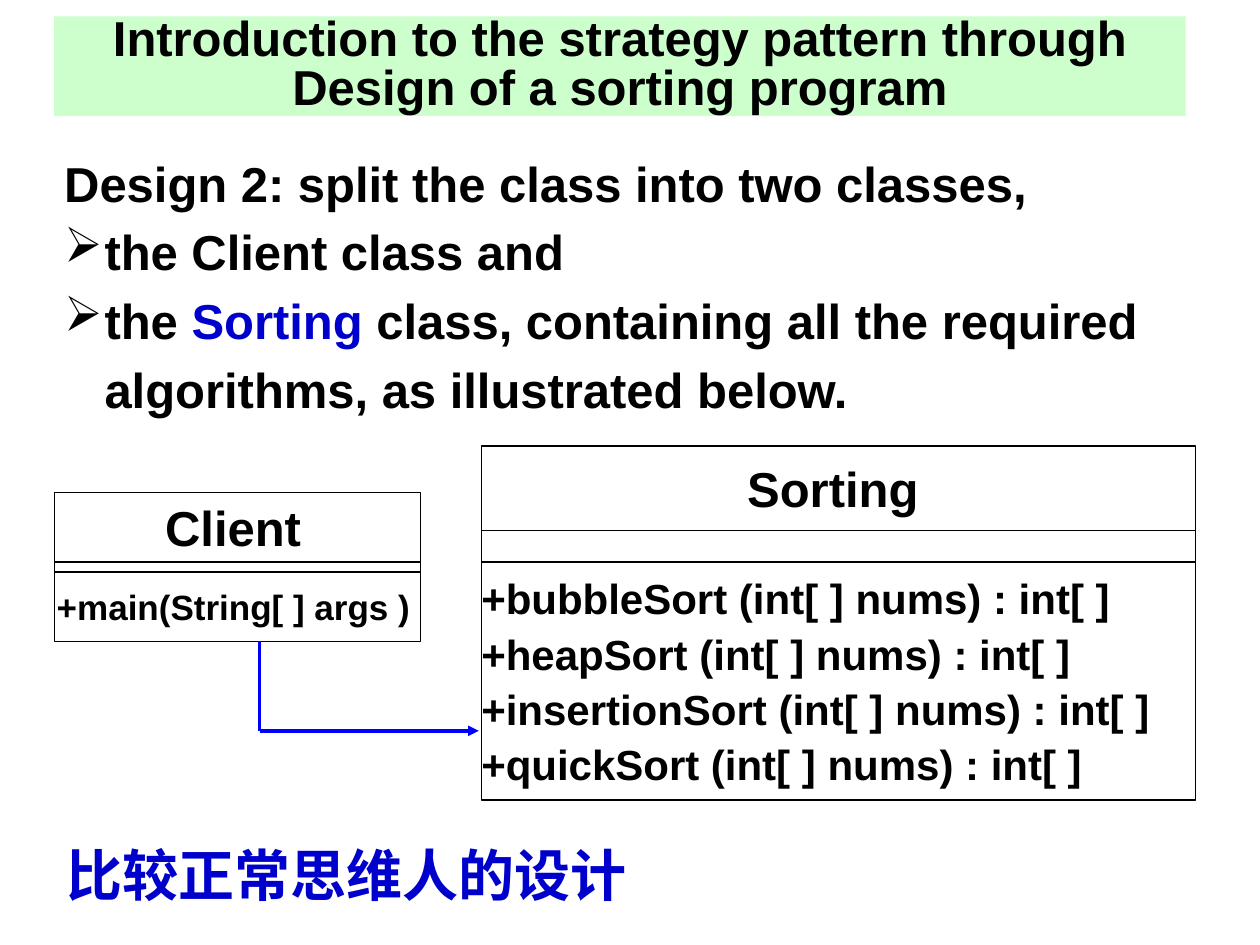
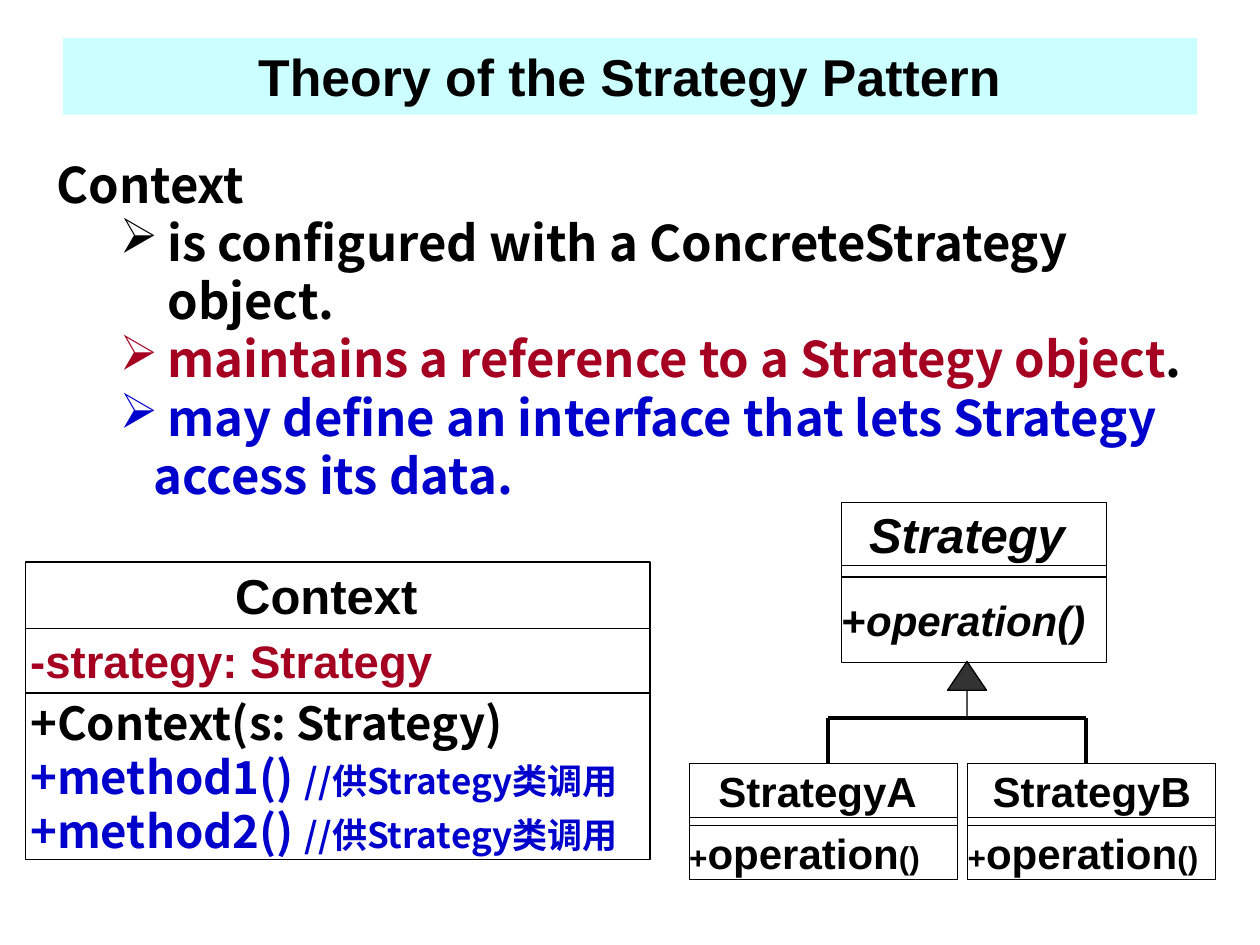
from lxml import etree
from pptx import Presentation
from pptx.dml.color import RGBColor
from pptx.enum import shapes, text
from pptx.oxml import ns
from pptx.util import Emu, Pt

EMU_PER_PX = 9144  # 100 px to the inch
LINE = 1.19  # line pitch in ems
LATIN, CJK = "Arial", "Noto Sans CJK SC"
BLACK, WHITE, GREY = "000000", "FFFFFF", "333333"
BLUE, BRIGHT_BLUE, RED = "0000CC", "0000FF", "A50021"
MINT, AQUA = "CCFFCC", "CCFFFF"


def px(n):
    return Emu(n * EMU_PER_PX)


def rgb(code):
    return RGBColor.from_string(code)


def sub(parent, tag, **attributes):
    return etree.SubElement(parent, ns.qn(tag), **attributes)


# ---- text ----
def prepare(shape, anchor=text.MSO_ANCHOR.MIDDLE, insets=(0, 0, 0, 0)):
    frame = shape.text_frame
    frame.word_wrap = True
    frame.auto_size = text.MSO_AUTO_SIZE.NONE
    frame.vertical_anchor = anchor
    (frame.margin_left, frame.margin_top,
     frame.margin_right, frame.margin_bottom) = map(px, insets)
    return frame


def write(frame, *runs, size=28, color=BLACK, font=LATIN, italic=False,
          center=False, before=0, spacing=1, left=0, hang=0, bullet=None):
    """Add one paragraph; a run is a string or (string, own format)."""
    first = frame.paragraphs[0]
    is_first = not first.runs
    paragraph = first if is_first else frame.add_paragraph()
    properties = paragraph._p.get_or_add_pPr()
    properties.set("marL", str(px(left)))
    properties.set("indent", str(px(-hang)))
    if bullet:
        sub(sub(properties, "a:buClr"), "a:srgbClr", val=color)
        sub(properties, "a:buChar", char=bullet)
    paragraph.alignment = text.PP_ALIGN.CENTER if center else text.PP_ALIGN.LEFT
    paragraph.line_spacing = Pt(round(size * LINE * spacing, 1))
    paragraph.space_before = Pt(0 if is_first else before)
    for item in runs:
        words, own = (item, {}) if isinstance(item, str) else item
        run = paragraph.add_run()
        run.text = words
        run.font.size = Pt(own.get("size", size))
        run.font.bold = True
        run.font.italic = own.get("italic", italic)
        run.font.color.rgb = rgb(own.get("color", color))
        run.font.name = font
        sub(run._r.get_or_add_rPr(), "a:ea", typeface=font)


def text_box(slide, left, top, width, height, insets):
    box = slide.shapes.add_textbox(*map(px, (left, top, width, height)))
    return prepare(box, text.MSO_ANCHOR.TOP, insets)


# ---- shapes ----
def add_shape(slide, preset, left, top, width, height, fill=WHITE):
    shape = slide.shapes.add_shape(preset, *map(px, (left, top, width, height)))
    shape.shadow.inherit = False
    shape.fill.solid()
    shape.fill.fore_color.rgb = rgb(fill)
    shape.line.color.rgb = rgb(BLACK)
    shape.line.width = Pt(0.75)
    return shape


def add_line(slide, start, end, color, width, arrow=False):
    connector = slide.shapes.add_connector(
        shapes.MSO_CONNECTOR.STRAIGHT, *map(px, (*start, *end)))
    connector.line.color.rgb = rgb(color)
    connector.line.width = Pt(width)
    if arrow:
        sub(connector.line._get_or_add_ln(), "a:tailEnd", type="triangle")
    sub(connector._element.spPr, "a:effectLst")


def titled_slide(deck, title, box, fill, size=28, spacing=1):
    slide = deck.slides.add_slide(deck.slide_layouts[5])
    band = slide.shapes.title
    band.left, band.top, band.width, band.height = map(px, box)
    band.fill.solid()
    band.fill.fore_color.rgb = rgb(fill)
    write(prepare(band, insets=(10, 5, 10, 5)), title,
          size=size, center=True, spacing=spacing)
    return slide


def uml_class(slide, left, top, width, heights, name, members, fields=(),
              name_size=28, italic=False, name_shift=0, inset=0, **member_format):
    """Stack the name, field and method compartments of a class."""
    frames = []
    for height in heights:
        part = add_shape(slide, shapes.MSO_SHAPE.RECTANGLE, left, top, width, height)
        frames.append(prepare(part, insets=(inset, 0, 0, 0)))
        top += height
    heading, attributes, methods = frames
    heading.margin_right = px(name_shift)
    write(heading, name, size=name_size, italic=italic, center=True)
    for field in fields:
        write(attributes, field, size=26, color=RED)
    for runs in members:
        write(methods, *runs, **member_format)


# ---- slide 1 ----
def design_text(slide, left, top):
    frame = text_box(slide, left, top, 874, 222, (0, 5, 0, 5))
    point = dict(before=6, left=32, hang=32, bullet="➢")
    write(frame, "Design 2: split the class into two classes,")
    write(frame, "the Client class and", **point)
    write(frame, "the ", ("Sorting", {"color": BLUE}),
          " class, containing all the required", **point)
    write(frame, "algorithms, as illustrated below.", before=6, left=32)


def sorting_diagram(slide, left, top):
    sorts = ("bubble", "heap", "insertion", "quick")
    uml_class(slide, left + 339, top, 567, (67, 25, 189), "Sorting",
              [[f"+{sort}Sort (int[ ] nums) : int[ ]"] for sort in sorts],
              name_shift=9, size=24, before=3)
    uml_class(slide, left, top + 37, 291, (55, 8, 55), "Client",
              [["+main(String[ ] args )"]], name_shift=9, inset=2, size=20)
    # Client uses Sorting
    corner = (left + 163, top + 226)
    add_line(slide, (corner[0], top + 155), corner, BRIGHT_BLUE, 2)
    add_line(slide, corner, (left + 337, corner[1]), BRIGHT_BLUE, 2, arrow=True)


def sorting_slide(deck):
    slide = titled_slide(
        deck, "Introduction to the strategy pattern through Design of a sorting program",
        (43, 13, 898, 79), MINT, spacing=0.85)
    design_text(slide, 51, 117)
    sorting_diagram(slide, 43, 354)
    remark = text_box(slide, 43, 663, 496, 64, (10, 5, 10, 5))
    write(remark, "比较正常思维人的设计", size=32, color=BLUE, font=CJK)


# ---- slide 2 ----
def context_text(slide, left, top):
    frame = text_box(slide, left, top, 929, 337, (10, 5, 10, 5))
    point = dict(font=CJK, left=88, hang=38, bullet="➢")
    write(frame, "Context", font=CJK)
    write(frame, "is configured with a ConcreteStrategy object.", **point)
    write(frame, "maintains a reference to a Strategy object",
          (".", {"color": BLACK}), color=RED, **point)
    write(frame, "may define an interface that lets Strategy", color=BLUE, **point)
    write(frame, "access its data.", color=BLUE, font=CJK, left=77)


def context_class(slide, left, top):
    blue = {"color": BLUE}
    note = ("//供Strategy类调用", {"color": BLUE, "size": 20})
    uml_class(slide, left, top, 496, (53, 51, 132), "Context",
              [["+Context(s: Strategy)"],
               [("+method1() ", blue), note],
               [("+method2() ", blue), note]],
              fields=["-strategy: Strategy"], name_shift=22, inset=4,
              size=26, font=CJK)


def strategy_hierarchy(slide, left, top):
    uml_class(slide, left + 121, top, 210, (50, 9, 68), "Strategy",
              [["+", ("operation()", {"italic": True})]],
              italic=True, name_shift=11, size=24)
    # inheritance arrow: triangular head on a bare stem
    arrow = add_shape(slide, shapes.MSO_SHAPE.UP_ARROW,
                      left + 205, top + 126, 31, 43, GREY)
    arrow.adjustments[0], arrow.adjustments[1] = 0, 0.74

    bus, subclass_top = top + 171, top + 207
    legs = (left + 110, left + 315)
    add_line(slide, (legs[0], bus), (legs[1], bus), BLACK, 2.5)
    for leg in legs:
        add_line(slide, (leg, bus), (leg, subclass_top), BLACK, 2.5)

    small = {"size": 18}
    for name, offset, width, shift in (("StrategyA", 0, 213, 9),
                                       ("StrategyB", 221, 197, 0)):
        uml_class(slide, left + offset, subclass_top, width, (43, 6, 43), name,
                  [[("+", small), "operation", ("()", small)]],
                  name_size=24, name_shift=shift, size=24)


def theory_slide(deck):
    slide = titled_slide(deck, "Theory of the Strategy Pattern",
                         (50, 30, 900, 61), AQUA, size=29.6)
    context_text(slide, 35, 118)
    context_class(slide, 20, 446)
    strategy_hierarchy(slide, 547, 399)


def main():
    deck = Presentation()
    deck.slide_width, deck.slide_height = px(1000), px(750)
    sorting_slide(deck)
    theory_slide(deck)
    deck.save("out.pptx")


if __name__ == "__main__":
    main()
